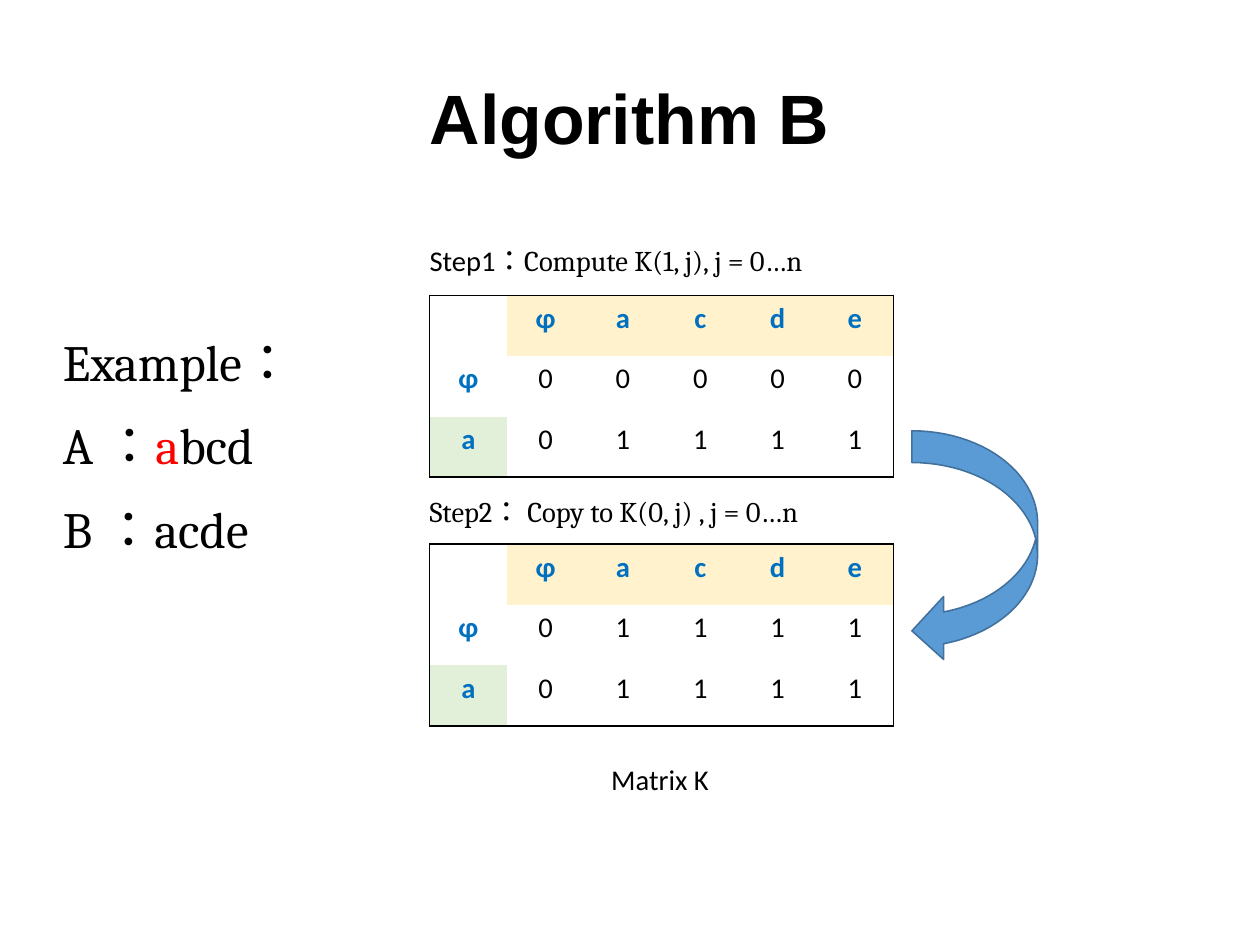
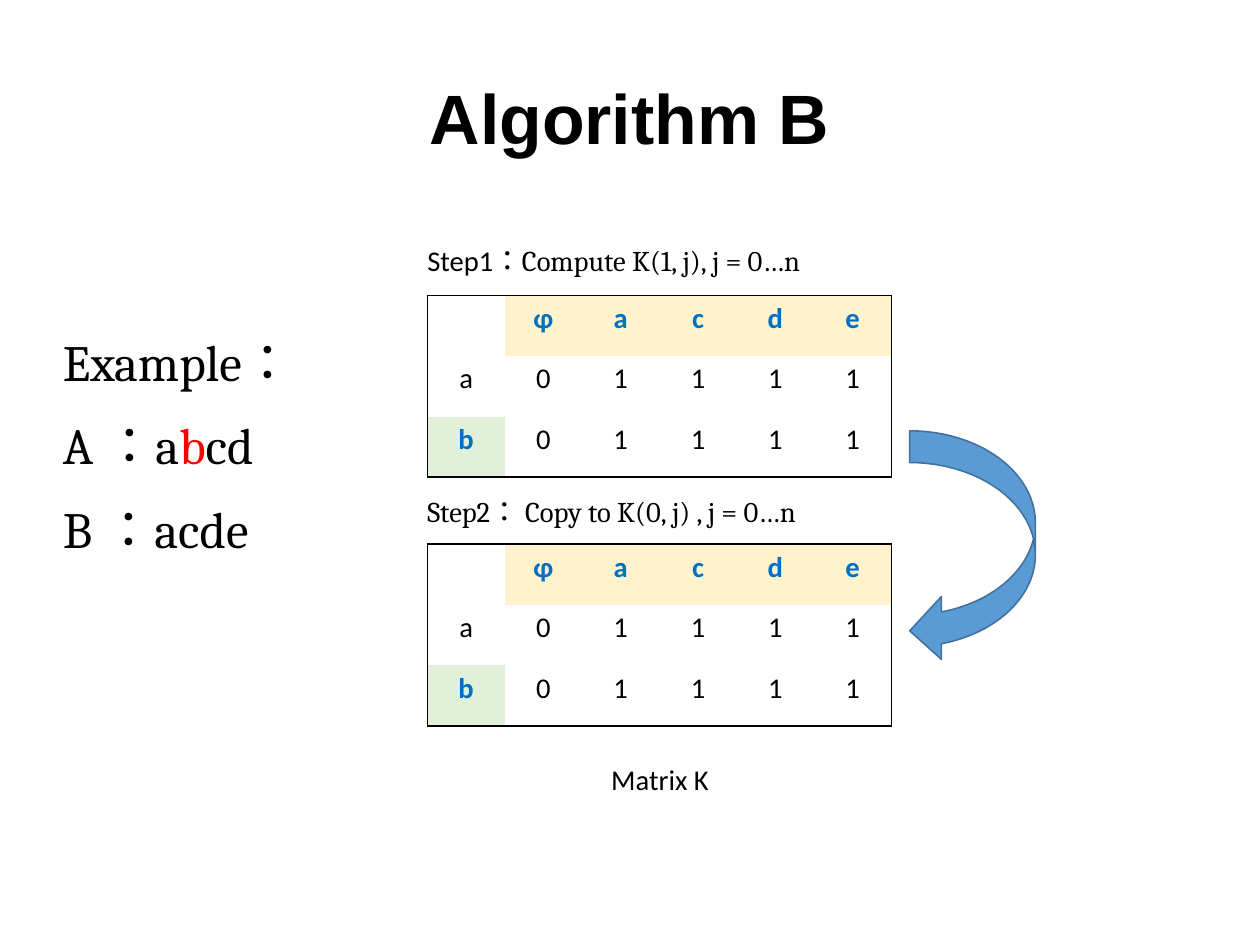
from math import acos, asin, cos, pi, sin

from lxml import etree
from pptx import Presentation
from pptx.dml.color import RGBColor
from pptx.enum.lang import MSO_LANGUAGE_ID
from pptx.enum.text import MSO_ANCHOR, PP_ALIGN
from pptx.oxml.ns import qn
from pptx.util import Pt

CENTER, LEFT = PP_ALIGN.CENTER, PP_ALIGN.LEFT
TOP, MIDDLE = MSO_ANCHOR.TOP, MSO_ANCHOR.MIDDLE
CHINESE = MSO_LANGUAGE_ID.TRADITIONAL_CHINESE

SANS, SERIF, TITLE_FONT, CJK = "Calibri", "Cambria", "Arial", "Noto Sans CJK TC"
BLACK, WHITE, RED, BLUE = "000000", "FFFFFF", "FF0000", "0070C0"
HEADER_FILL, CURRENT_FILL = "FFF2CC", "E2F0D9"
ARROW_FILL, ARROW_LINE = "5B9BD5", "41719C"

COLUMN_WIDTH, ROW_HEIGHT = 48.7, 38.2
MATRIX_TOPS, LABEL_TOPS = (186, 342.7), (149.8, 307.4)
INSET = 7.2


def color(value):
    return RGBColor.from_string(value)


def arc(center_y, radii, start, end, steps=24):
    """Points of an ellipse whose centre lies on the left edge."""
    angles = [start + (end - start) * i / steps for i in range(steps + 1)]
    return [(radii[0] * cos(a), center_y + radii[1] * sin(a)) for a in angles]


class Deck:
    """Holds the shared style and the current slide."""

    def __init__(self):
        self.presentation = Presentation()
        self.presentation.slide_width = Pt(793.75)
        self.presentation.slide_height = Pt(595.25)
        self.slide = None

    def new_slide(self):
        layout = self.presentation.slide_layouts[6]
        self.slide = self.presentation.slides.add_slide(layout)

    def add_run(self, paragraph, text, size, font=SANS, fill=BLACK, bold=False):
        run = paragraph.add_run()
        run.text = text
        style = {"size": Pt(size), "bold": bold, "name": font}
        if "：" in text:
            style["language_id"] = CHINESE
        for name, value in style.items():
            setattr(run.font, name, value)
        run.font.color.rgb = color(fill)
        etree.SubElement(run.font._element, qn("a:ea"), typeface=CJK)

    def text(self, box, lines, size, align=LEFT, anchor=TOP, inset=(0, 0),
             spacing=None, gap=0):
        """Each line is a list of (text, format values) runs."""
        shape = self.slide.shapes.add_textbox(*map(Pt, box))
        frame = shape.text_frame
        side, end = map(Pt, inset)
        frame_style = {"word_wrap": True, "vertical_anchor": anchor,
                       "margin_left": side, "margin_right": side,
                       "margin_top": end, "margin_bottom": end}
        for name, value in frame_style.items():
            setattr(frame, name, value)
        for index, runs in enumerate(lines):
            paragraph = frame.add_paragraph() if index else frame.paragraphs[0]
            paragraph.alignment = align
            paragraph.space_before = Pt(gap if index else 0)
            if spacing:
                paragraph.line_spacing = Pt(spacing)
            for text, values in runs:
                self.add_run(paragraph, text, size, **values)

    def title(self, text):
        runs = [(text, {"font": TITLE_FONT, "bold": True})]
        self.text((39.6, 23.8, 714.2, 99.4), [runs], 44, CENTER, MIDDLE)

    def label(self, left, top, runs, width=275):
        self.text((left, top, width, 28.8), [runs], 18,
                  inset=(INSET, 3.6), spacing=21.6)

    def border(self, cell, visible):
        properties = cell._tc.get_or_add_tcPr()
        for side in "LRTB":
            line = etree.SubElement(properties, qn(f"a:ln{side}"), w=str(Pt(1)))
            if side in visible:
                fill = etree.SubElement(line, qn("a:solidFill"))
                etree.SubElement(fill, qn("a:srgbClr"), val=BLACK)
            else:
                etree.SubElement(line, qn("a:noFill"))

    def matrix(self, left, top, rows):
        """The first row and the last row's label are tinted."""
        last_row, last_column = len(rows) - 1, len(rows[0]) - 1
        table = self.slide.shapes.add_table(
            len(rows), len(rows[0]), Pt(left), Pt(top),
            Pt(COLUMN_WIDTH * len(rows[0])), Pt(ROW_HEIGHT * len(rows))).table
        table.first_row = table.horz_banding = False
        for column in table.columns:
            column.width = Pt(COLUMN_WIDTH)
        for r, values in enumerate(rows):
            table.rows[r].height = Pt(ROW_HEIGHT)
            for c, value in enumerate(values):
                cell = table.cell(r, c)
                edges = {"L": c == 0, "R": c == last_column,
                         "T": r == 0, "B": r == last_row}
                self.border(cell, [side for side, on in edges.items() if on])
                fill = WHITE
                if r == 0 and c > 0:
                    fill = HEADER_FILL
                elif r == last_row and c == 0:
                    fill = CURRENT_FILL
                cell.fill.solid()
                cell.fill.fore_color.rgb = color(fill)
                cell.margin_left = cell.margin_right = Pt(4.5)
                cell.margin_top = cell.margin_bottom = Pt(3.6)
                paragraph = cell.text_frame.paragraphs[0]
                paragraph.alignment = CENTER
                strong = fill != WHITE or value == "ɸ"
                if value:
                    self.add_run(paragraph, value, 18, bold=strong,
                                 fill=BLUE if strong else BLACK)

    def curved_arrow(self, left, top):
        """A band bent to the right, with its head at the lower left."""
        radii, shaft = (79.2, 58), 20
        upper, lower = radii[1], radii[1] + shaft
        head_angle = acos(shaft / radii[0])
        points = [
            *arc(lower, radii, 0, -pi / 2),
            *arc(upper, radii, -pi / 2, 0),
            *arc(lower, radii, 0, head_angle),
            (shaft, 144), (0, 126), (shaft, 104.4),
            *arc(upper, radii, head_angle, asin(shaft / 2 / radii[1])),
        ]
        outline = [(Pt(left + x), Pt(top + y)) for x, y in points]
        builder = self.slide.shapes.build_freeform(*outline[0])
        builder.add_line_segments(outline[1:], close=True)
        shape = builder.convert_to_shape()
        shape.shadow.inherit = False
        shape.fill.solid()
        shape.fill.fore_color.rgb = color(ARROW_FILL)
        shape.line.color.rgb = color(ARROW_LINE)
        shape.line.width = Pt(1)


def build_step(deck, left, word, position, labels, values):
    """One round of the algorithm: the letter of A in use and both matrices."""
    serif = {"font": SERIF}
    deck.new_slide()
    deck.title("Algorithm B")

    # Example strings, with the current letter in red
    letters = [(word[:position], serif),
               (word[position], {"font": SERIF, "fill": RED}),
               (word[position + 1:], serif)]
    example = [
        [("Example", serif), ("：", {"font": CJK})],
        [("A ：", serif)] + [run for run in letters if run[0]],
        [("B ：acde", serif)],
    ]
    deck.text((39.6, 208.2, 220, 150), example, 32, spacing=38.4, gap=14.2)

    # Matrices and step labels
    captions = (
        [("Step1", {}), ("：", {"font": CJK}),
         ("Compute K(1, j), j = 0…n", serif)],
        [("Step2： Copy to K(0, j) , j = 0…n", serif)],
    )
    for top, body in zip(MATRIX_TOPS, values):
        rows = ["", *"ɸacde"], *([name, *row] for name, row in zip(labels, body))
        deck.matrix(left, top, rows)
    for top, caption in zip(LABEL_TOPS, captions):
        deck.label(left - INSET, top, caption)

    # Copy arrow and caption
    deck.curved_arrow(left + 303.8, 271.4)
    deck.label(378, 476.6, [("Matrix K", {})], width=80)


def main():
    deck = Deck()
    build_step(deck, 270.7, "abcd", 0, "ɸa",
               [("00000", "01111"), ("01111", "01111")])
    build_step(deck, 269.3, "abcd", 1, "ab",
               [("01111", "01111"), ("01111", "01111")])
    deck.presentation.save("out.pptx")


if __name__ == "__main__":
    main()
